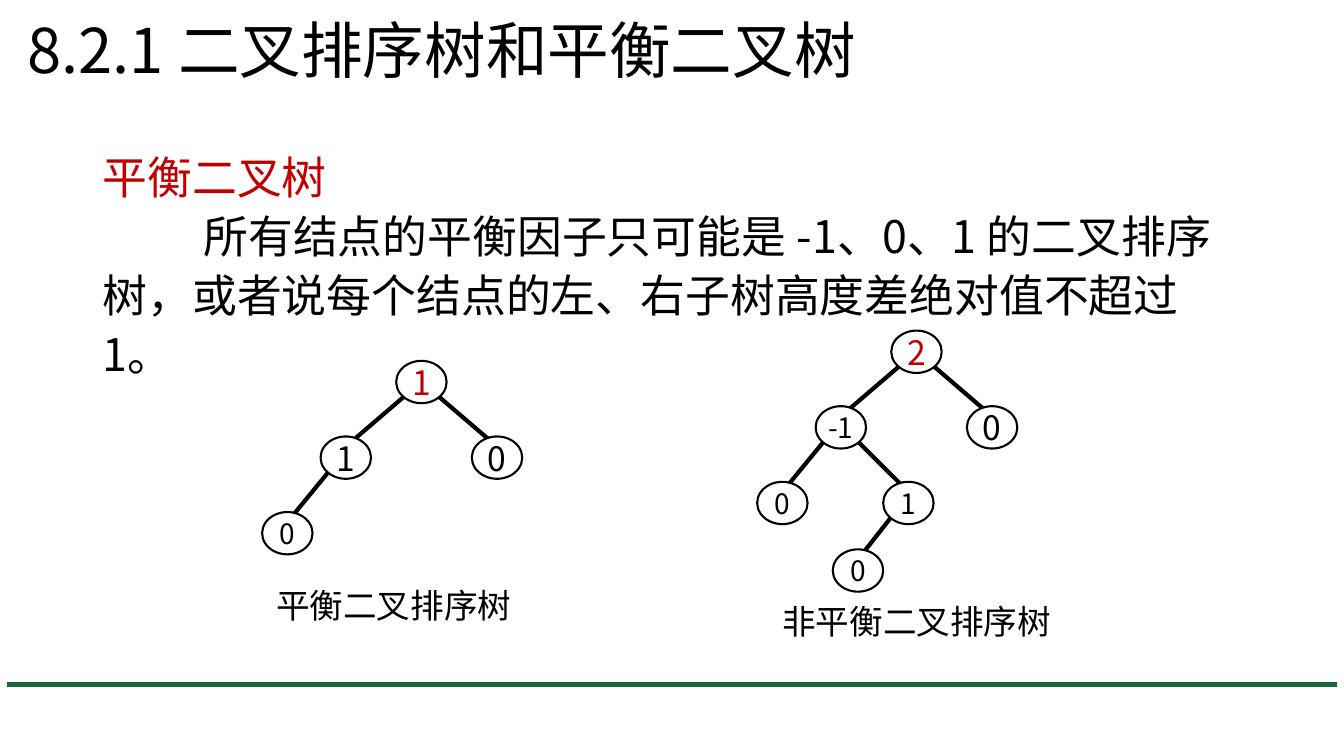
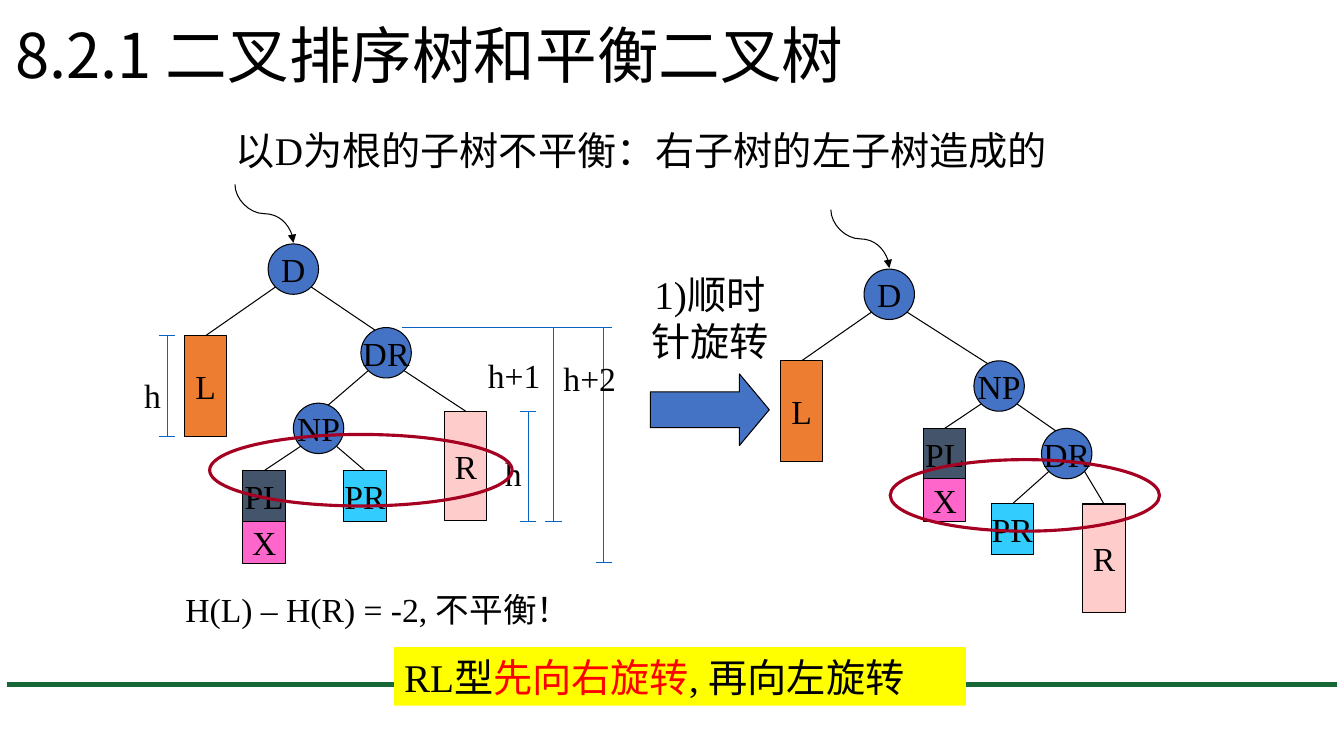
from lxml import etree
from pptx import Presentation
from pptx.dml.color import RGBColor
from pptx.enum.shapes import MSO_CONNECTOR, MSO_SHAPE
from pptx.enum.text import MSO_ANCHOR, MSO_AUTO_SIZE, PP_ALIGN
from pptx.oxml.ns import qn
from pptx.util import Inches, Pt

BLACK = RGBColor(0x00, 0x00, 0x00)
WHITE = RGBColor(0xFF, 0xFF, 0xFF)
GREEN = RGBColor(0x16, 0x69, 0x36)
DARK_RED = RGBColor(0xC0, 0x00, 0x00)
RED = RGBColor(0xFF, 0x00, 0x00)
CRIMSON = RGBColor(0xA5, 0x00, 0x21)
YELLOW = RGBColor(0xFF, 0xFF, 0x00)
BLUE = RGBColor(0x44, 0x72, 0xC4)
LINK_BLUE = RGBColor(0x05, 0x63, 0xC1)
ORANGE = RGBColor(0xED, 0x7D, 0x31)
PINK = RGBColor(0xFF, 0xCC, 0xCC)
MAGENTA = RGBColor(0xFF, 0x66, 0xCC)
SLATE = RGBColor(0x44, 0x54, 0x6A)
CYAN = RGBColor(0x33, 0xCC, 0xFF)

SANS = "Noto Sans CJK SC"
SERIF = "Times New Roman"
ARIAL = "Arial"

OVAL = MSO_SHAPE.OVAL
RECTANGLE = MSO_SHAPE.RECTANGLE
RIGHT_ARROW = MSO_SHAPE.RIGHT_ARROW
STRAIGHT = MSO_CONNECTOR.STRAIGHT
CURVE = MSO_CONNECTOR.CURVE
MIDDLE = MSO_ANCHOR.MIDDLE
NO_FIT = MSO_AUTO_SIZE.NONE
LEFT = PP_ALIGN.LEFT
CENTER = PP_ALIGN.CENTER

TITLE = "8.2.1 二叉排序树和平衡二叉树"
TITLE_SIZE = (11.5, 1.45)
NODE_SIZE = (0.5, 0.42)
CORNER = 0.146
CAP = 0.08
CURVE_SIZE = 0.58

ROTATION_NODES = {
    "D": (OVAL, 0.5, 0.5, BLUE),
    "DR": (OVAL, 0.5, 0.5, BLUE),
    "NP": (OVAL, 0.5, 0.5, BLUE),
    "L": (RECTANGLE, 0.42, 1, ORANGE),
    "R": (RECTANGLE, 0.42, 1.08, PINK),
    "PL": (RECTANGLE, 0.42, 0.5, SLATE),
    "PR": (RECTANGLE, 0.42, 0.5, CYAN),
    "X": (RECTANGLE, 0.42, 0.42, MAGENTA),
}


def write(paragraph, spans, size, font, align=LEFT):
    """Fill a paragraph with (text, colour) spans."""
    paragraph.alignment = align
    for text, color in spans:
        span = paragraph.add_run()
        span.text = text
        span.font.size = Pt(size)
        span.font.color.rgb = color
        span.font.name = font
        east_asian = etree.SubElement(span._r.get_or_add_rPr(), qn("a:ea"))
        east_asian.set("typeface", SANS)


def set_margins(frame, horizontal, vertical):
    """Give a text frame equal opposite margins."""
    frame.margin_left = frame.margin_right = Inches(horizontal)
    frame.margin_top = frame.margin_bottom = Inches(vertical)


def add_text(page, box, spans, size, font, align=LEFT, wrap=True):
    """Add a text box and return its frame."""
    frame = page.shapes.add_textbox(*map(Inches, box)).text_frame
    frame.word_wrap = wrap
    write(frame.paragraphs[0], spans, size, font, align)
    return frame


def add_box(page, kind, box, fill=None, line=BLACK, weight=0.75):
    """Add a flat preset shape; None leaves out its fill or line."""
    shape = page.shapes.add_shape(kind, *map(Inches, box))
    shape.shadow.inherit = False
    if fill is None:
        shape.fill.background()
    else:
        shape.fill.solid()
        shape.fill.fore_color.rgb = fill
    if line is None:
        shape.line.fill.background()
    else:
        shape.line.color.rgb = line
        shape.line.width = Pt(weight)
    return shape


def add_line(page, start, end, color=BLACK, weight=0.75, kind=STRAIGHT):
    """Add a connector without a shadow."""
    line = page.shapes.add_connector(kind, *map(Inches, (*start, *end)))
    line.line.color.rgb = color
    line.line.width = Pt(weight)
    etree.SubElement(line.element.spPr, qn("a:effectLst"))
    return line


def add_node(page, kind, box, fill, label, color, size, font, weight):
    """Add a tree node with its centred label."""
    node = add_box(page, kind, box, fill, weight=weight)
    frame = node.text_frame
    frame.word_wrap = False
    frame.vertical_anchor = MIDDLE
    set_margins(frame, 0, 0)
    write(frame.paragraphs[0], [(label, color)], size, font, CENTER)
    return node


def add_edge(page, parent, child, weight):
    """Run a line behind the nodes from a lower corner of the parent to the child."""
    to_left = child.left + child.width / 2 < parent.left + parent.width / 2
    across = CORNER if to_left else 1 - CORNER
    start_x = int(parent.left + parent.width * across)
    start_y = int(parent.top + parent.height * (1 - CORNER))
    edge = add_line(page, (0, 0), (0, 0), weight=weight)
    edge.begin_x, edge.begin_y = start_x, start_y
    if child.auto_shape_type == RECTANGLE:
        edge.end_connect(child, 0)
    else:
        edge.end_x = int(child.left + child.width / 2)
        edge.end_y = child.top + Inches(0.1)
    page.shapes.element.insert(2, edge.element)


def add_page(deck, left, top):
    """Add a title-only page with the shared title."""
    page = deck.slides.add_slide(deck.slide_layouts[5])
    title = page.shapes.title
    title.left, title.top = Inches(left), Inches(top)
    title.width, title.height = map(Inches, TITLE_SIZE)
    frame = title.text_frame
    frame.auto_size = NO_FIT
    frame.word_wrap = True
    frame.vertical_anchor = MIDDLE
    write(frame.paragraphs[0], [(TITLE, BLACK)], 44, SANS)
    frame.paragraphs[0].line_spacing = 0.9
    return page


def add_footer_rule(deck, page):
    """Draw the green rule and hand it to the layout of the pages."""
    rule = add_line(page, (0.07, 6.79), (13.26, 6.79), GREEN, 3.75)
    page.slide_layout.shapes.element.append(rule.element)


def add_definition(page, box):
    """Write the heading and the definition of a balanced tree."""
    frame = add_text(page, box, [("平衡二叉树", DARK_RED)], 32, SANS)
    body = frame.add_paragraph()
    text = "所有结点的平衡因子只可能是 -1、0、1 的二叉排序树，或者说每个结点的左、右子树高度差绝对值不超过 1。"
    write(body, [(text, BLACK)], 32, SANS)
    properties = body._p.get_or_add_pPr()
    properties.set("marL", "0")
    properties.set("indent", str(Inches(1)))
    for paragraph in frame.paragraphs:
        paragraph.line_spacing = Pt(42)


def add_factor_tree(page, left, top, nodes, caption, caption_box):
    """Draw a tree of balance factors from (x, y, label, size, parent) rows."""
    drawn = []
    for x, y, label, size, parent in nodes:
        color = DARK_RED if parent is None else BLACK
        node = add_node(page, OVAL, (left + x, top + y, *NODE_SIZE), WHITE,
                        label, color, size, SANS, 1.5)
        if parent is not None:
            add_edge(page, drawn[parent], node, 3)
        drawn.append(node)
    x, y, width = caption_box
    add_text(page, (left + x, top + y, width, 0.5), [(caption, BLACK)], 24, ARIAL, wrap=False)


def add_rotation_tree(page, left, top, places, edges):
    """Draw one stage of the rotation with the pointer to its root."""
    nodes = {}
    for label, (x, y) in places.items():
        kind, width, height, fill = ROTATION_NODES[label]
        nodes[label] = add_node(page, kind, (left + x, top + y, width, height), fill,
                                label, BLACK, 24, SERIF, 0.75)
    for parent, child in edges:
        add_edge(page, nodes[parent], nodes[child], 0.75)
    start = (left + 0.5, top)
    end = (start[0] + CURVE_SIZE, top + CURVE_SIZE)
    pointer = add_line(page, start, end, kind=CURVE)
    transform = pointer.element.spPr.find(qn("a:xfrm"))
    transform.set("rot", "16200000")
    transform.set("flipH", "1")
    outline = pointer.line._get_or_add_ln()
    etree.SubElement(outline, qn("a:tailEnd")).set("type", "triangle")


def add_height_mark(page, x, top, bottom, label, label_box, top_start=None):
    """Draw a height bracket with its label."""
    cap_start = x - CAP if top_start is None else top_start
    add_line(page, (x, top), (x, bottom), LINK_BLUE)
    add_line(page, (cap_start, top), (x + CAP, top), LINK_BLUE)
    add_line(page, (x - CAP, bottom), (x + CAP, bottom), LINK_BLUE)
    add_text(page, (*label_box, 0.5), [(label, BLACK)], 24, SERIF)


def add_rotation_step(page, left, top):
    """Place the step's wording above its block arrow."""
    frame = add_text(page, (left, top, 1.42, 1.03), [("1)顺时针旋转", BLACK)], 28, SERIF, CENTER)
    set_margins(frame, 0.05, 0.05)
    frame.paragraphs[0].line_spacing = Pt(33.6)
    arrow = add_box(page, RIGHT_ARROW, (left + 0.12, top + 1.08, 1.18, 0.71), BLUE)
    arrow.adjustments[0] = 0.5
    arrow.adjustments[1] = 0.417


def add_conclusion(page, box):
    """Draw the yellow band with the rotation rule."""
    frame = add_box(page, RECTANGLE, box, YELLOW, line=None).text_frame
    frame.word_wrap = True
    frame.vertical_anchor = MIDDLE
    set_margins(frame, 0.1, 0)
    spans = [("RL型", BLACK), ("先向右旋转", RED), (", 再向左旋转", BLACK)]
    write(frame.paragraphs[0], spans, 28, SERIF)


def build_definition_page(deck):
    """Build the page that compares balanced and unbalanced trees."""
    page = add_page(deck, 0.17, -0.19)
    add_footer_rule(deck, page)
    add_definition(page, (0.92, 1.39, 11.5, 2.5))
    balanced = [(1.33, 0, "1", 24, None), (0.58, 0.75, "1", 24, 0),
                (2.08, 0.75, "0", 24, 0), (0, 1.5, "0", 20, 1)]
    add_factor_tree(page, 2.6, 3.58, balanced, "平衡二叉排序树", (0.04, 2.17, 2.55))
    unbalanced = [(1.33, 0, "2", 24, None), (0.58, 0.75, "-1", 20, 0),
                  (2.08, 0.75, "0", 24, 0), (0, 1.5, "0", 20, 1),
                  (1.25, 1.5, "1", 20, 1), (0.75, 2.17, "0", 20, 4)]
    add_factor_tree(page, 7.51, 3.28, unbalanced, "非平衡二叉排序树", (0.15, 2.63, 2.88))


def build_rotation_page(deck):
    """Build the page with the first rotation of the RL case."""
    page = add_page(deck, 0.05, -0.14)
    add_rotation_step(page, 6.33, 2.63)
    heading = "以D为根的子树不平衡：右子树的左子树造成的"
    add_text(page, (2.24, 1.2, 8.5, 0.57), [(heading, BLACK)], 28, SERIF)
    add_conclusion(page, (3.91, 6.42, 5.67, 0.58))
    add_height_mark(page, 5.24, 4.08, 5.17, "h", (4.91, 4.44, 0.42))
    add_height_mark(page, 5.49, 3.25, 5.17, "h+1", (4.74, 3.47, 0.75), 3.99)
    add_height_mark(page, 1.66, 3.33, 4.33, "h", (1.33, 3.67, 0.42))
    add_height_mark(page, 5.99, 3.25, 5.58, "h+2", (5.49, 3.5, 0.75), 4.66)
    before = {"D": (0.83, 0.59), "L": (0, 1.5), "DR": (1.75, 1.42), "NP": (1.08, 2.17),
              "R": (2.58, 2.25), "PL": (0.58, 2.84), "PR": (1.58, 2.84), "X": (0.58, 3.34)}
    add_rotation_tree(page, 1.83, 1.83, before,
                      [("D", "L"), ("D", "DR"), ("DR", "NP"), ("DR", "R"),
                       ("NP", "PL"), ("NP", "PR")])
    after = {"D": (0.83, 0.59), "L": (0, 1.5), "NP": (1.92, 1.5), "DR": (2.59, 2.17),
             "PL": (1.42, 2.17), "X": (1.42, 2.67), "PR": (2.09, 2.92), "R": (3, 2.92)}
    add_rotation_tree(page, 7.74, 2.08, after,
                      [("D", "L"), ("D", "NP"), ("NP", "PL"), ("NP", "DR"),
                       ("DR", "PR"), ("DR", "R")])
    for ring in ((2.08, 4.31, 3, 0.71), (8.83, 4.56, 2.67, 0.71)):
        add_box(page, OVAL, ring, line=CRIMSON, weight=2.25)
    balance = "H(L) – H(R) = -2, 不平衡！"
    add_text(page, (1.74, 5.79, 4.58, 0.5), [(balance, BLACK)], 24, SERIF)


def main():
    """Build and save the deck."""
    deck = Presentation()
    deck.slide_width, deck.slide_height = Inches(13.33), Inches(7.5)
    build_definition_page(deck)
    build_rotation_page(deck)
    deck.save("out.pptx")


if __name__ == "__main__":
    main()
